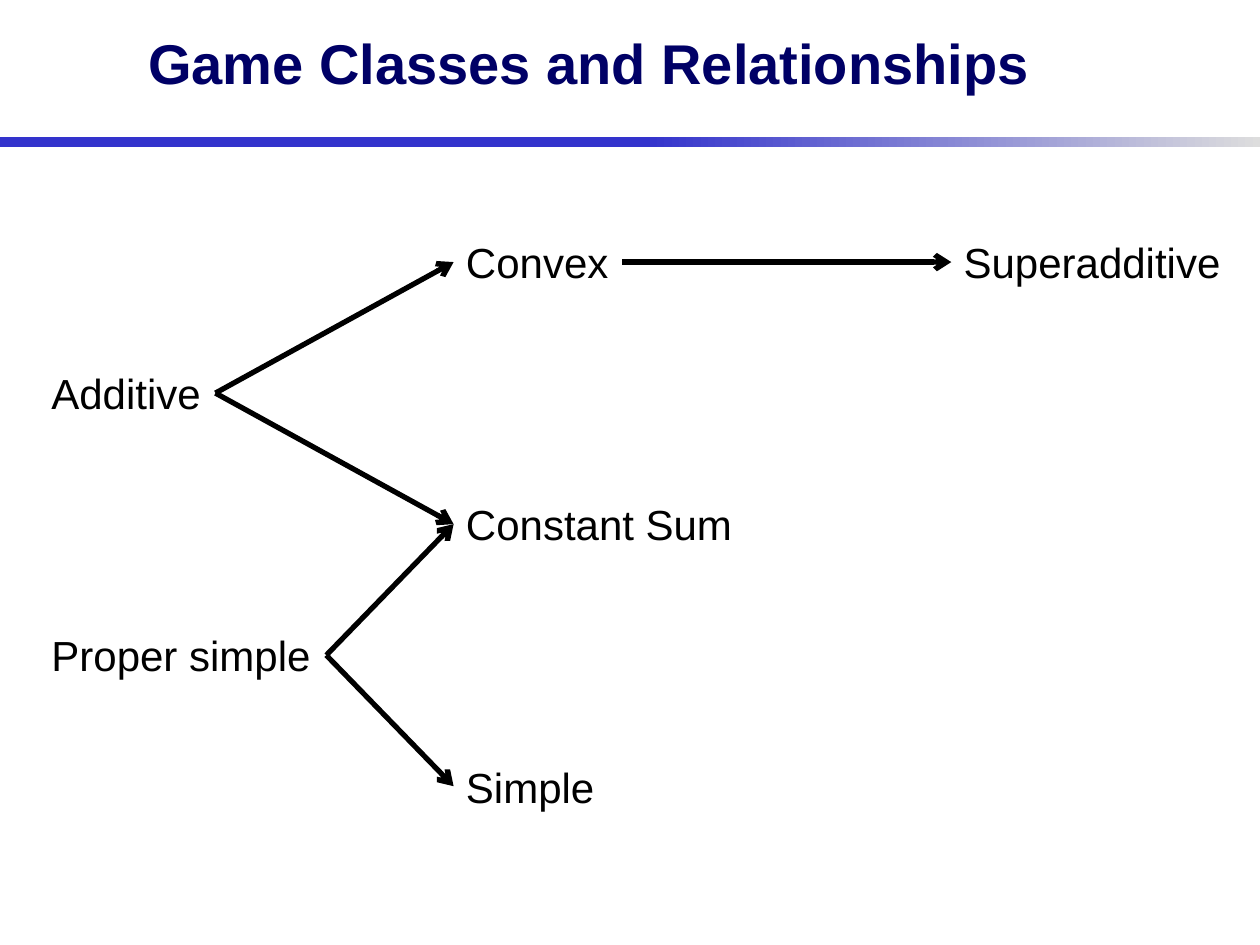
from lxml import etree
from pptx import Presentation
from pptx.dml.color import RGBColor
from pptx.enum.dml import MSO_LINE_DASH_STYLE
from pptx.enum.shapes import MSO_CONNECTOR, MSO_SHAPE
from pptx.enum.text import MSO_ANCHOR, MSO_AUTO_SIZE, PP_ALIGN
from pptx.oxml.ns import qn
from pptx.util import Inches, Pt

STRAIGHT, RECTANGLE = MSO_CONNECTOR.STRAIGHT, MSO_SHAPE.RECTANGLE
SOLID = MSO_LINE_DASH_STYLE.SOLID
MIDDLE, LEFT, CENTER = MSO_ANCHOR.MIDDLE, PP_ALIGN.LEFT, PP_ALIGN.CENTER
LEFT_SIDE, RIGHT_SIDE = 1, 3
COLORS = {"title": "000066", "ink": "000000", "bar": "3333CC", "fade": "DDDDDD"}


def write_text(box, text, size, color, bold=False, align=LEFT, wrap=False):
    frame = box.text_frame
    frame.auto_size = MSO_AUTO_SIZE.NONE
    frame.word_wrap = wrap
    frame.vertical_anchor = MIDDLE
    para = frame.paragraphs[0]
    para.alignment = align
    span = para.add_run()
    span.text = text
    span.font.name = "Arial"
    span.font.size = Pt(size)
    span.font.bold = bold
    span.font.color.rgb = RGBColor.from_string(COLORS[color])


deck = Presentation()
deck.slide_width, deck.slide_height = Inches(10), Inches(7.5)
page = deck.slides.add_slide(deck.slide_layouts[5])

# Title
title = page.shapes.title
title.left, title.top = Inches(0.94), Inches(-0.13)
title.width, title.height = Inches(7.47), Inches(1.25)
write_text(title, "Game Classes and Relationships", 32, "title",
           bold=True, align=CENTER, wrap=True)

# Fading bar under the title
bar = page.shapes.add_shape(RECTANGLE, 0, Inches(1.09), deck.slide_width, Inches(0.08))
bar.shadow.inherit = False
bar.line.fill.background()
bar.fill.gradient()
bar.fill.gradient_angle = 0
for stop, (position, color) in zip(bar.fill.gradient_stops, [(0.51, "bar"), (1, "fade")]):
    stop.position = position
    stop.color.rgb = RGBColor.from_string(COLORS[color])

# Game classes on a grid: name, column, row, width
COLUMNS = [0.31, 3.6, 7.55]
FIRST_ROW, ROW_STEP, ROW_HEIGHT = 1.83, 1.04, 0.5
classes = [
    ("Additive", 0, 1, 1.4),
    ("Proper simple", 0, 3, 2.28),
    ("Simple", 1, 4, 1.23),
    ("Constant Sum", 1, 2, 2.34),
    ("Convex", 1, 0, 1.34),
    ("Superadditive", 2, 0, 2.26),
]
boxes = {}
for name, column, row, width in classes:
    boxes[name] = page.shapes.add_textbox(
        Inches(COLUMNS[column]), Inches(FIRST_ROW + row * ROW_STEP),
        Inches(width), Inches(ROW_HEIGHT))
    write_text(boxes[name], name, 24, "ink")

# Arrows from each class to the classes that contain it
relations = [
    ("Additive", "Convex"),
    ("Additive", "Constant Sum"),
    ("Proper simple", "Simple"),
    ("Convex", "Superadditive"),
    ("Proper simple", "Constant Sum"),
]
for source, target in relations:
    arrow = page.shapes.add_connector(STRAIGHT, 0, 0, 0, 0)
    arrow.begin_connect(boxes[source], RIGHT_SIDE)
    arrow.end_connect(boxes[target], LEFT_SIDE)
    arrow.line.color.rgb = RGBColor.from_string(COLORS["ink"])
    arrow.line.width = Pt(3)
    arrow.line.dash_style = SOLID
    properties = arrow.element.spPr
    etree.SubElement(properties.find(qn("a:ln")), qn("a:tailEnd"), type="arrow")
    etree.SubElement(properties, qn("a:effectLst"))

deck.save("out.pptx")
